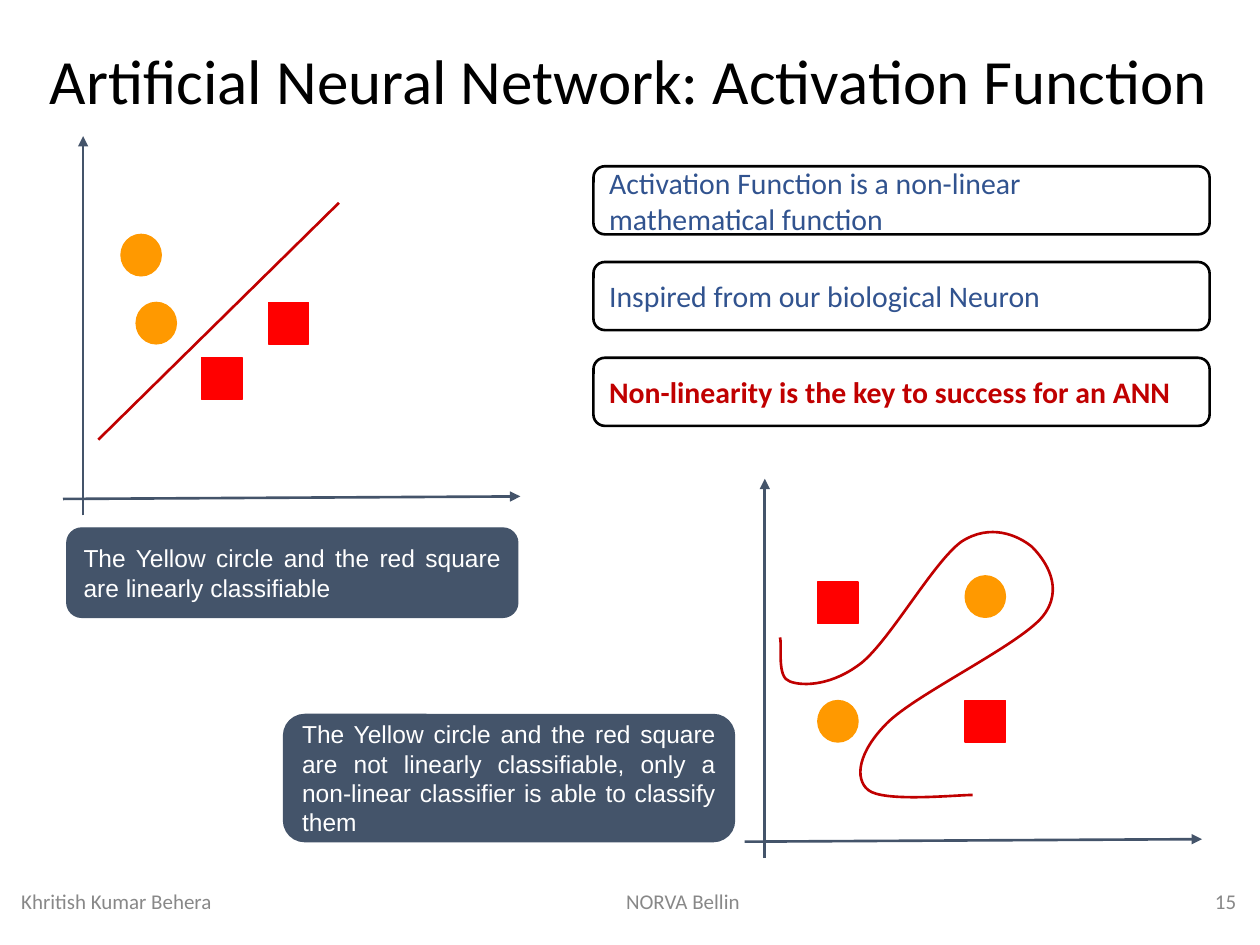
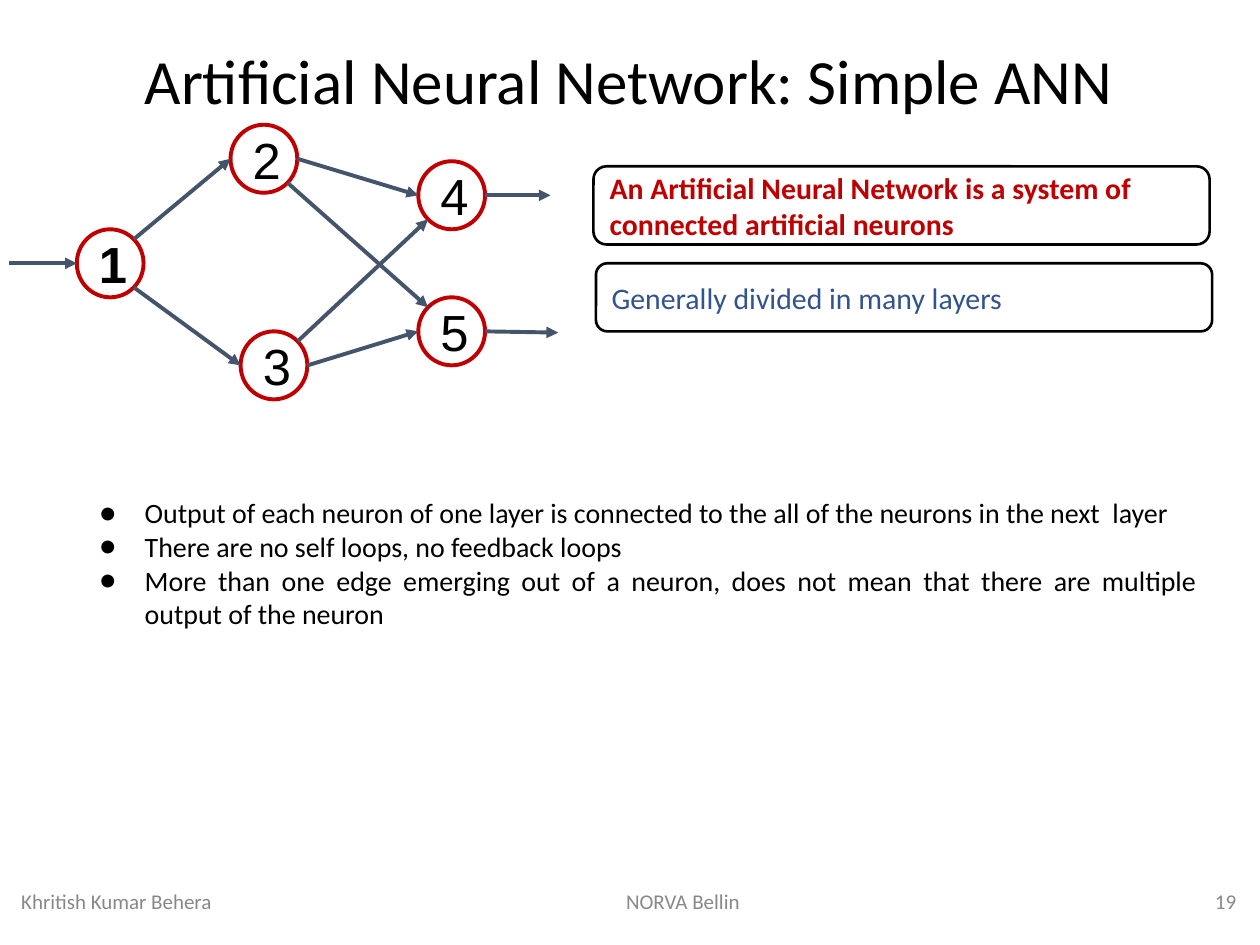
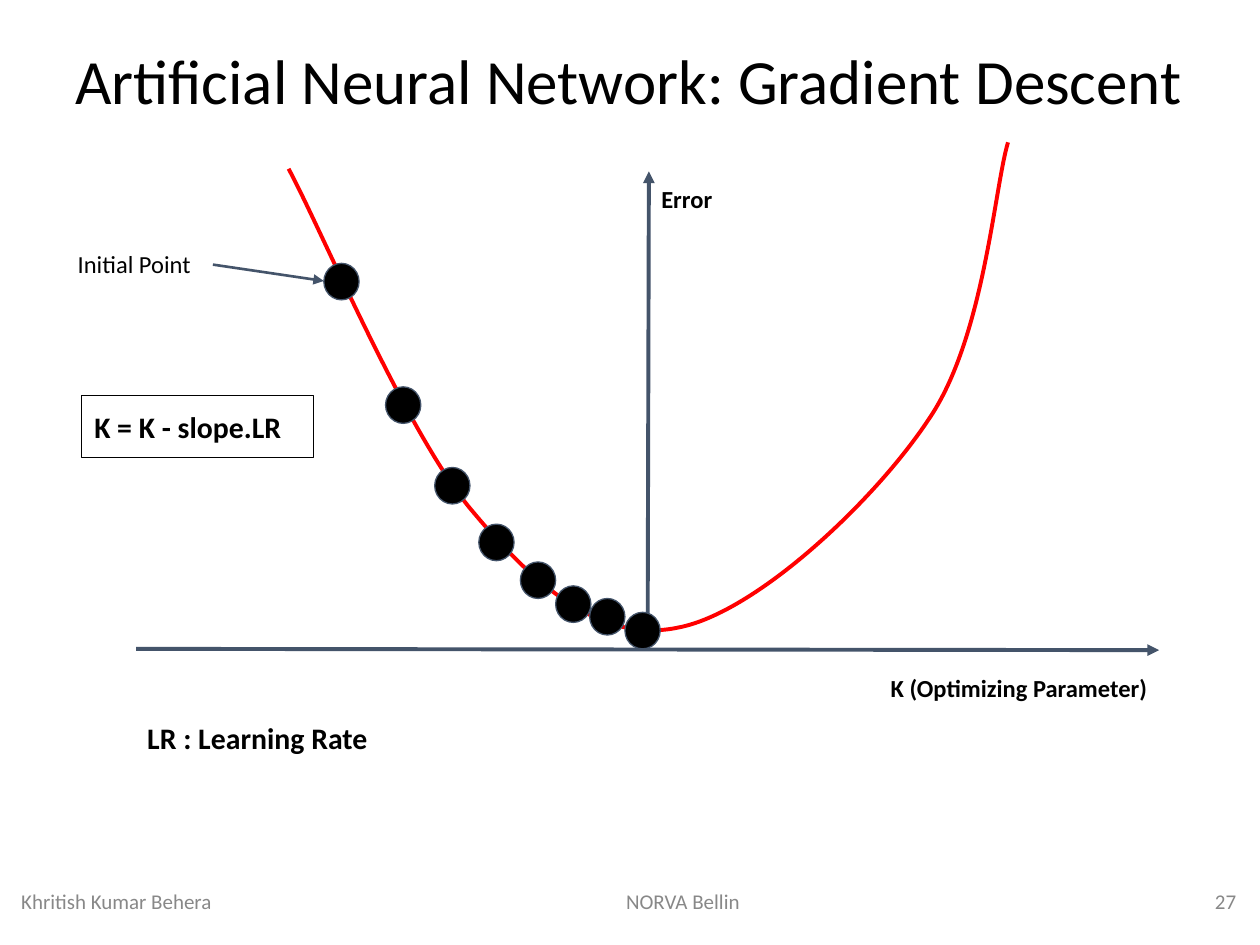
from math import cos, radians, sin

from lxml.etree import SubElement
from pptx import Presentation
from pptx.dml.color import RGBColor
from pptx.enum.shapes import MSO_CONNECTOR, MSO_SHAPE
from pptx.enum.text import MSO_ANCHOR, MSO_AUTO_SIZE, PP_ALIGN
from pptx.oxml.ns import qn
from pptx.util import Inches, Pt

BLACK = RGBColor(0x00, 0x00, 0x00)
WHITE = RGBColor(0xFF, 0xFF, 0xFF)
GRAY = RGBColor(0x88, 0x88, 0x88)
SLATE = RGBColor(0x44, 0x54, 0x6A)
BLUE = RGBColor(0x31, 0x53, 0x8F)
CRIMSON = RGBColor(0xC0, 0x00, 0x00)
RED = RGBColor(0xFF, 0x00, 0x00)
ORANGE = RGBColor(0xFF, 0x99, 0x00)

TITLE_ONLY = 5
NEURON_WIDTH, NEURON_HEIGHT = 0.53, 0.54
MARKER_SIZE = (0.32, 0.33)
STEP_SIZE = (0.28, 0.29)


def write(holder, lines, size, color=BLACK, bold=False, font="Calibri",
          align=PP_ALIGN.LEFT, anchor=MSO_ANCHOR.TOP, inset=0.1):
    """Fill a shape's text frame with one paragraph per line."""
    frame = holder.text_frame
    frame.word_wrap = True
    frame.auto_size = MSO_AUTO_SIZE.NONE
    frame.vertical_anchor = anchor
    frame.margin_left = frame.margin_right = Inches(0.1)
    frame.margin_top = frame.margin_bottom = Inches(inset)
    for index, line in enumerate(lines):
        paragraph = frame.add_paragraph() if index else frame.paragraphs[0]
        paragraph.alignment = align
        run = paragraph.add_run()
        run.text = line
        run.font.name = font
        run.font.size = Pt(size)
        run.font.bold = bold
        run.font.color.rgb = color


def add_label(slide, box, text, size, **style):
    """Add a text box with a single line of text."""
    label = slide.shapes.add_textbox(*map(Inches, box))
    write(label, [text], size, **style)
    return label


def add_outlined(slide, kind, box, fill, line, width=0.75):
    """Add a preset shape with a flat fill and outline."""
    outlined = slide.shapes.add_shape(kind, *map(Inches, box))
    outlined.shadow.inherit = False
    if fill is None:
        outlined.fill.background()
    else:
        outlined.fill.solid()
        outlined.fill.fore_color.rgb = fill
    outlined.line.color.rgb = line
    outlined.line.width = Pt(width)
    return outlined


def add_stroke(slide, start, end, width=1.5, color=SLATE, arrow=True):
    """Add a straight line, with an arrowhead at its end if wanted."""
    stroke = slide.shapes.add_connector(
        MSO_CONNECTOR.STRAIGHT, *map(Inches, (*start, *end)))
    stroke.line.color.rgb = color
    stroke.line.width = Pt(width)
    properties = stroke.element.spPr
    if arrow:
        SubElement(properties.find(qn("a:ln")), qn("a:tailEnd"), type="triangle")
    SubElement(properties, qn("a:effectLst"))
    return stroke


def bezier(points, t):
    """Return the point at t on a cubic curve."""
    weights = ((1 - t) ** 3, 3 * t * (1 - t) ** 2, 3 * t * t * (1 - t), t ** 3)
    return tuple(sum(w * p[axis] for w, p in zip(weights, points)) for axis in (0, 1))


def add_curve(slide, left, top, knots, color, width, steps=24):
    """Draw joined cubic curves, sized by sampling and stored as Bézier segments."""
    points = [(Inches(left + x), Inches(top + y)) for x, y in knots]
    starts = range(0, len(points) - 1, 3)
    samples = [bezier(points[start:start + 4], step / steps)
               for start in starts for step in range(1, steps + 1)]
    builder = slide.shapes.build_freeform(*points[0])
    builder.add_line_segments(samples, close=False)
    curve = builder.convert_to_shape()
    outline = next(curve.element.iter(qn("a:moveTo"))).getparent()
    for straight in outline.findall(qn("a:lnTo")):
        outline.remove(straight)
    for start in starts:
        segment = SubElement(outline, qn("a:cubicBezTo"))
        for x, y in points[start + 1:start + 4]:
            SubElement(segment, qn("a:pt"), x=str(x - curve.left), y=str(y - curve.top))
    curve.shadow.inherit = False
    curve.fill.background()
    curve.line.color.rgb = color
    curve.line.width = Pt(width)


def add_slide(deck, topic, number):
    """Add a slide with its title and footers."""
    slide = deck.slides.add_slide(deck.slide_layouts[TITLE_ONLY])
    title = slide.shapes.title
    title.left, title.top, title.width, title.height = map(
        Inches, (0.07, 0.28, 9.84, 0.71))
    write(title, [f"Artificial Neural Network: {topic}"], 36,
          align=PP_ALIGN.CENTER, inset=0.05)
    footers = (
        (3.73, 3.38, "NORVA Bellin", PP_ALIGN.CENTER),
        (7.66, 2.25, str(number), PP_ALIGN.RIGHT),
        (0.07, 3.38, "Khritish Kumar Behera", PP_ALIGN.LEFT),
    )
    for left, width, text, align in footers:
        add_label(slide, (left, 6.95, width, 0.4), text, 12, color=GRAY, align=align,
                  anchor=MSO_ANCHOR.MIDDLE, inset=0.05)
    return slide


def add_key_point(slide, left, top, text, strong=False, height=0.54):
    """Add a rounded white box with a key statement."""
    key_point = add_outlined(slide, MSO_SHAPE.ROUNDED_RECTANGLE,
                             (left, top, 4.89, height), WHITE, BLACK, 1.5)
    write(key_point, [text], 17, CRIMSON if strong else BLUE, strong,
          anchor=MSO_ANCHOR.MIDDLE)


def add_caption(slide, left, top, height, text):
    """Add a dark rounded caption for a plot."""
    caption = add_outlined(slide, MSO_SHAPE.ROUNDED_RECTANGLE,
                           (left, top, 3.58, height), SLATE, SLATE)
    write(caption, [text], 14, WHITE, font="Arial", align=PP_ALIGN.JUSTIFY,
          anchor=MSO_ANCHOR.MIDDLE)


def add_class_plot(slide, left, top, circles, squares):
    """Draw the axes and the markers of the two classes."""
    add_stroke(slide, (left + 0.16, top + 3.01), (left + 0.16, top))
    add_stroke(slide, (left, top + 2.88), (left + 3.63, top + 2.86))
    for kind, color, places in ((MSO_SHAPE.OVAL, ORANGE, circles),
                                (MSO_SHAPE.RECTANGLE, RED, squares)):
        for x, y in places:
            add_outlined(slide, kind, (left + x, top + y, *MARKER_SIZE), color, color)


def add_network(slide, left, top):
    """Draw five neurons and the arrows between them."""
    corners = {"1": (0.54, 0.83), "2": (1.76, 0), "3": (1.84, 1.64),
               "4": (3.25, 0.29), "5": (3.25, 1.37)}
    for name, (x, y) in corners.items():
        neuron = add_outlined(slide, MSO_SHAPE.OVAL,
                              (left + x, top + y, NEURON_WIDTH, NEURON_HEIGHT),
                              None, CRIMSON, 2.25)
        write(neuron, [name], 29, bold=name == "1", font="Arial",
              align=PP_ALIGN.CENTER, anchor=MSO_ANCHOR.MIDDLE)

    def rim(name, angle):
        """Return the point on a neuron's rim at a clockwise angle."""
        x, y = corners[name]
        return (left + x + NEURON_WIDTH / 2 * (1 + cos(radians(angle))),
                top + y + NEURON_HEIGHT / 2 * (1 + sin(radians(angle))))

    edges = (("1", -45, "2", 180), ("1", 45, "3", 180), ("2", 45, "5", 225),
             ("2", 0, "4", 180), ("3", -45, "4", 135), ("3", 0, "5", 180))
    for source, leaving, target, entering in edges:
        add_stroke(slide, rim(source, leaving), rim(target, entering), 2.25)
    add_stroke(slide, (left, top + 1.1), rim("1", 180), 2.25)
    add_stroke(slide, rim("4", 0), (left + 4.3, top + 0.56), 2.25)
    add_stroke(slide, rim("5", 0), (left + 4.36, top + 1.65), 2.25)


def add_bullets(slide, box, lines):
    """Add a justified bulleted list."""
    bullets = slide.shapes.add_textbox(*map(Inches, box))
    write(bullets, lines, 16, align=PP_ALIGN.JUSTIFY, anchor=MSO_ANCHOR.MIDDLE)
    for paragraph in bullets.text_frame.paragraphs:
        properties = paragraph._p.get_or_add_pPr()
        properties.set("marL", str(Inches(0.5)))
        properties.set("indent", str(Inches(-0.36)))
        bullet_color = SubElement(properties, qn("a:buClr"))
        SubElement(bullet_color, qn("a:srgbClr"), val=str(BLACK))
        SubElement(properties, qn("a:buFont"), typeface="Calibri")
        SubElement(properties, qn("a:buChar"), char="●")


def add_descent(slide, left, top):
    """Draw the error curve, its axes and the steps down to the minimum."""
    add_stroke(slide, (left, top + 4.02), (left + 8.12, top + 4.03), 2.25)
    add_stroke(slide, (left + 4.06, top + 4.02), (left + 4.07, top + 0.23), 2.25)
    error_curve = ((1.21, 0.21), (1.46, 0.67), (2.16, 2.34), (2.68, 2.94),
                   (3.19, 3.55), (3.71, 3.98), (4.31, 3.85),
                   (4.92, 3.73), (5.86, 2.85), (6.29, 2.2),
                   (6.73, 1.56), (6.81, 0.37), (6.92, 0))
    add_curve(slide, left, top, error_curve, RED, 2.25)
    add_label(slide, (left + 4.07, top + 0.23, 0.65, 0.44), "Error", 14, bold=True)
    add_label(slide, (left + 5.89, top + 4.11, 2.25, 0.44),
              "K (Optimizing Parameter)", 14, bold=True)
    descent_steps = ((1.49, 0.96), (1.98, 1.94), (2.37, 2.58), (2.72, 3.03),
                     (3.05, 3.33), (3.33, 3.52), (3.6, 3.62), (3.88, 3.73))
    for x, y in descent_steps:
        add_outlined(slide, MSO_SHAPE.OVAL, (left + x, top + y, *STEP_SIZE),
                     BLACK, SLATE)
    initial_point = add_label(slide, (left - 0.64, top + 0.75, 1.25, 0.44),
                              "Initial Point", 14, align=PP_ALIGN.CENTER)
    pointer = add_stroke(slide, (left + 0.61, top + 0.97), (left + 1.49, top + 1.1))
    pointer.begin_connect(initial_point, 3)


def build_activation(deck):
    """Build the slide on activation functions."""
    slide = add_slide(deck, "Activation Function", 15)
    key_points = ("Activation Function is a non-linear mathematical function",
                  "Inspired from our biological Neuron",
                  "Non-linearity is the key to success for an ANN")
    for row, text in enumerate(key_points):
        add_key_point(slide, 4.71, 1.32 + 0.76 * row, text, strong=row == 2)
    add_class_plot(slide, 0.5, 1.08, circles=((0.46, 0.78), (0.58, 1.32)),
                   squares=((1.63, 1.32), (1.1, 1.76)))
    add_stroke(slide, (0.78, 3.49), (2.69, 1.61), color=CRIMSON, arrow=False)
    add_class_plot(slide, 5.91, 3.8, circles=((1.75, 0.77), (0.58, 1.76)),
                   squares=((0.58, 0.82), (1.75, 1.76)))
    boundary = ((0.28, 1.26), (0.3, 1.32), (0.25, 1.58), (0.36, 1.61),
                (0.47, 1.65), (0.7, 1.64), (0.93, 1.46),
                (1.16, 1.27), (1.5, 0.66), (1.72, 0.5),
                (1.95, 0.35), (2.17, 0.45), (2.28, 0.54),
                (2.38, 0.64), (2.55, 0.87), (2.36, 1.1),
                (2.16, 1.33), (1.36, 1.71), (1.13, 1.94),
                (0.9, 2.17), (0.87, 2.38), (0.98, 2.47),
                (1.1, 2.57), (1.68, 2.51), (1.81, 2.51))
    add_curve(slide, 5.91, 3.8, boundary, CRIMSON, 1.5)
    add_caption(slide, 0.53, 4.19, 0.71,
                "The Yellow circle and the red square are linearly classifiable")
    add_caption(slide, 2.25, 5.67, 1.01,
                "The Yellow circle and the red square are not linearly classifiable, "
                "only a non-linear classifier is able to classify them")


def build_simple_network(deck):
    """Build the slide on a simple network."""
    slide = add_slide(deck, "Simple ANN", 19)
    add_network(slide, 0.07, 0.99)
    add_key_point(slide, 4.71, 1.32, "An Artificial Neural Network is a system of "
                  "connected artificial neurons", strong=True, height=0.62)
    add_key_point(slide, 4.73, 2.09, "Generally divided in many layers")
    add_bullets(slide, (0.55, 3.65, 9.05, 1.64), (
        "Output of each neuron of one layer is connected to the all of the neurons "
        "in the next  layer",
        "There are no self loops, no feedback loops",
        "More than one edge emerging out of a neuron, does not mean that there are "
        "multiple output of the neuron"))


def build_gradient_descent(deck):
    """Build the slide on gradient descent."""
    slide = add_slide(deck, "Gradient Descent", 27)
    add_descent(slide, 1.08, 1.13)
    update_rule = add_outlined(slide, MSO_SHAPE.RECTANGLE,
                               (0.65, 3.14, 1.84, 0.49), None, BLACK)
    write(update_rule, ["K = K - slope.LR"], 17, bold=True)
    add_label(slide, (1.07, 5.61, 1.99, 0.49), "LR : Learning Rate", 17, bold=True)


def main():
    """Build the deck and save it."""
    deck = Presentation()
    deck.slide_width, deck.slide_height = Inches(10), Inches(7.5)
    build_activation(deck)
    build_simple_network(deck)
    build_gradient_descent(deck)
    deck.save("out.pptx")


if __name__ == "__main__":
    main()
